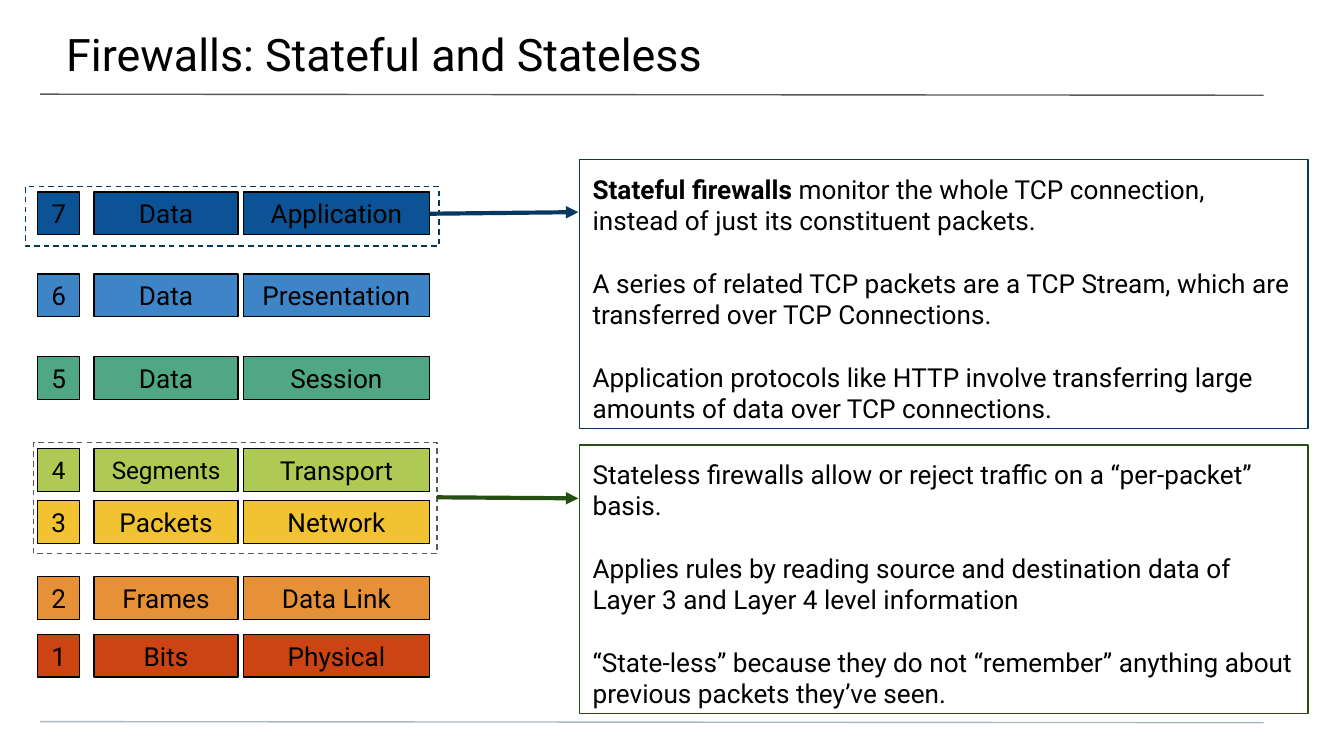
from pptx import Presentation
from pptx.dml.color import RGBColor
from pptx.enum.dml import MSO_LINE
from pptx.enum.shapes import MSO_CONNECTOR, MSO_SHAPE
from pptx.enum.text import MSO_ANCHOR as Anchor, MSO_AUTO_SIZE, PP_ALIGN as Align
from pptx.oxml.ns import qn
from pptx.util import Cm, Pt
from lxml import etree


def color(value):
    return RGBColor.from_string(value)


def write(shape, paragraphs, size=14, align=Align.LEFT, anchor=Anchor.TOP,
          margins=(0.25, 0.25, 0.25, 0.25), gap=0):
    """Fill a shape with paragraphs, each a list of (text, bold) runs."""
    frame = shape.text_frame
    frame.word_wrap = True
    frame.auto_size = MSO_AUTO_SIZE.NONE
    frame.vertical_anchor = anchor
    frame.margin_left, frame.margin_top, frame.margin_right, frame.margin_bottom = map(Cm, margins)
    for index, runs in enumerate(paragraphs):
        paragraph = frame.add_paragraph() if index else frame.paragraphs[0]
        paragraph.alignment = align
        paragraph.space_before = Pt(gap if index else 0)
        for text, bold in runs:
            run = paragraph.add_run()
            run.text = text
            run.font.name = "Roboto"
            run.font.size = Pt(size)
            run.font.bold = bold
            run.font.color.rgb = color("000000")


presentation = Presentation()
presentation.slide_width, presentation.slide_height = Cm(25.4), Cm(14.29)
slide = presentation.slides.add_slide(presentation.slide_layouts[5])

# Title
title = slide.shapes.title
title.left, title.top, title.width, title.height = Cm(0), Cm(0), Cm(25.4), Cm(1.47)
write(title, [[("Firewalls: Stateful and Stateless", False)]], size=24,
      margins=(1.25, 0.5, 0.75, 0.25))

# Layer stack: number, data unit and layer name
layers = [
    (3.63, "0B5394", "7", "Data", "Application"),
    (5.18, "3D85C6", "6", "Data", "Presentation"),
    (6.74, "4FA786", "5", "Data", "Session"),
    (8.48, "AFCA54", "4", "Segments", "Transport"),
    (9.46, "F1C232", "3", "Packets", "Network"),
    (10.9, "E69138", "2", "Frames", "Data Link"),
    (11.99, "CC4411", "1", "Bits", "Physical"),
]
columns = [(0.71, 0.8), (1.78, 2.72), (4.6, 3.52)]
for top, fill, *labels in layers:
    for (left, width), label in zip(columns, labels):
        cell = slide.shapes.add_shape(MSO_SHAPE.RECTANGLE, Cm(left), Cm(top), Cm(width), Cm(0.81))
        cell.shadow.inherit = False
        cell.fill.solid()
        cell.fill.fore_color.rgb = color(fill)
        cell.line.color.rgb = color("000000")
        cell.line.width = Pt(0.75)
        write(cell, [[(label, False)]], size=13 if label in ("Segments", "4") else 14,
              align=Align.CENTER, anchor=Anchor.MIDDLE, margins=(0, 0, 0, 0))

# Explanations and dashed frames around the layers they concern
stateful = [
    [("Stateful firewalls", True),
     (" monitor the whole TCP connection, instead of just its constituent packets.", False)],
    [("A series of related TCP packets are a TCP Stream, which are transferred over TCP Connections.", False)],
    [("Application protocols like HTTP involve transferring large amounts of data over TCP connections.", False)],
]
stateless = [
    [("Stateless firewalls allow or reject traffic on a “per-packet” basis.", False)],
    [("Applies rules by reading source and destination data of Layer 3 and Layer 4 level information", False)],
    [("“State-less” because they do not “remember” anything about previous packets they’ve seen.", False)],
]
outlines = [
    (10.95, 3.02, 13.77, 5.08, "073763", None, stateful),
    (10.95, 8.41, 13.77, 5.08, "274E13", None, stateless),
    (0.64, 8.36, 7.62, 2.11, "595959", MSO_LINE.DASH, None),
    (0.48, 3.53, 7.82, 1.12, "073763", MSO_LINE.DASH, None),
]
for left, top, width, height, line_color, dash, paragraphs in outlines:
    box = slide.shapes.add_shape(MSO_SHAPE.RECTANGLE, Cm(left), Cm(top), Cm(width), Cm(height))
    box.shadow.inherit = False
    box.fill.background()
    box.line.color.rgb = color(line_color)
    box.line.width = Pt(0.75)
    if dash:
        box.line.dash_style = dash
    if paragraphs:
        write(box, paragraphs, gap=16.8)

# Rules across the slide, then arrows from the layers to the explanations
lines = [
    (0.76, 1.78, 23.88, 1.8, "595959", 0.75, False),
    (0.76, 13.64, 23.88, 13.66, "A9B7C0", 0.75, False),
    (8.12, 4.04, 10.93, 4.01, "073763", 2.25, True),
    (8.26, 9.4, 10.93, 9.42, "274E13", 2.25, True),
]
for x1, y1, x2, y2, line_color, weight, arrow in lines:
    connector = slide.shapes.add_connector(MSO_CONNECTOR.STRAIGHT, Cm(x1), Cm(y1), Cm(x2), Cm(y2))
    connector.line.color.rgb = color(line_color)
    connector.line.width = Pt(weight)
    if arrow:
        etree.SubElement(connector.line._get_or_add_ln(), qn("a:tailEnd"), type="triangle")
    etree.SubElement(connector._element.spPr, qn("a:effectLst"))

presentation.save("out.pptx")
